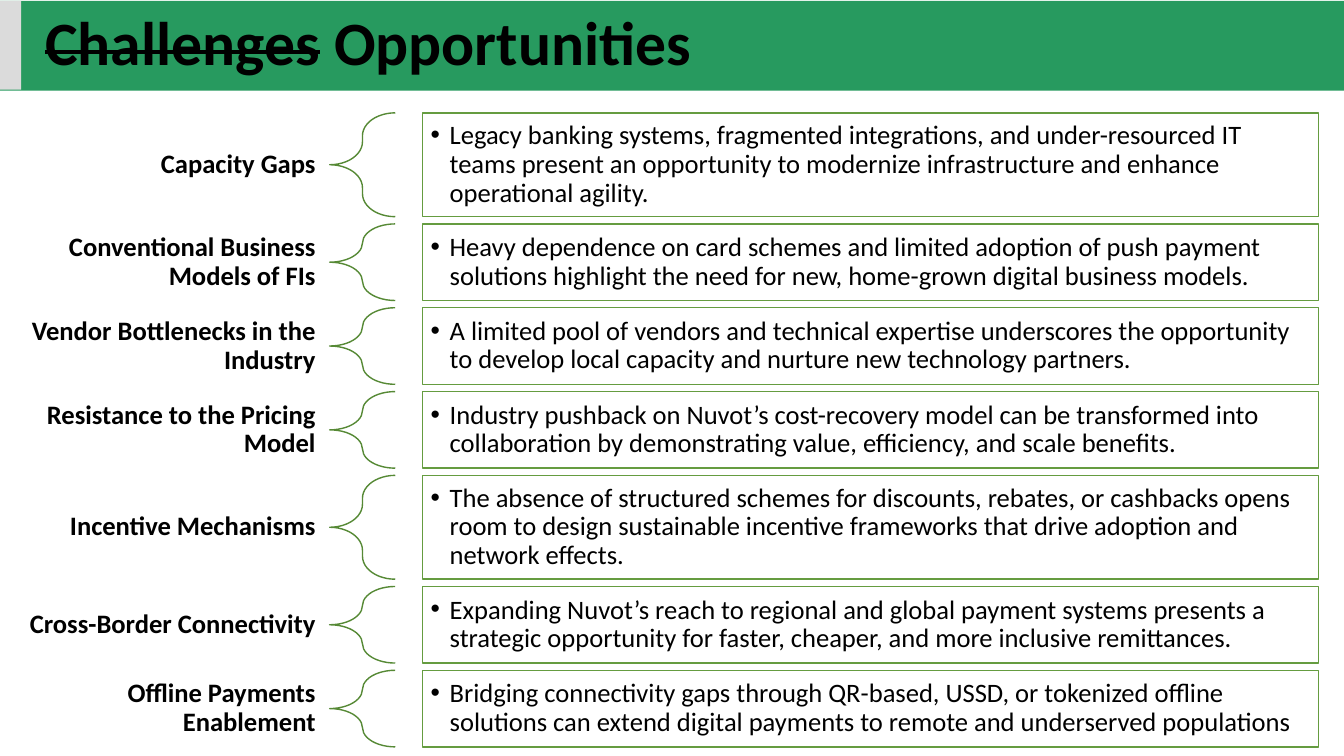
from dataclasses import dataclass

from lxml.etree import SubElement
from pptx import Presentation
from pptx.dml.color import RGBColor
from pptx.enum.shapes import MSO_SHAPE as Shape
from pptx.enum.text import MSO_ANCHOR as Anchor, PP_ALIGN as Align
from pptx.oxml.ns import qn
from pptx.util import Inches, Pt

# Content: label, label lines, opportunity, opportunity lines
TITLE = [("Challenges", True), (" Opportunities", False)]  # text, struck out
ROWS = [
    ("Capacity Gaps", 1,
     "Legacy banking systems, fragmented integrations, and under-resourced IT teams present "
     "an opportunity to modernize infrastructure and enhance operational agility.", 3),
    ("Conventional Business Models of FIs", 2,
     "Heavy dependence on card schemes and limited adoption of push payment solutions "
     "highlight the need for new, home-grown digital business models.", 2),
    ("Vendor Bottlenecks in the Industry", 2,
     "A limited pool of vendors and technical expertise underscores the opportunity to "
     "develop local capacity and nurture new technology partners.", 2),
    ("Resistance to the Pricing Model", 2,
     "Industry pushback on Nuvot’s cost-recovery model can be transformed into "
     "collaboration by demonstrating value, efficiency, and scale benefits.", 2),
    ("Incentive Mechanisms", 1,
     "The absence of structured schemes for discounts, rebates, or cashbacks opens room to "
     "design sustainable incentive frameworks that drive adoption and network effects.", 3),
    ("Cross-Border Connectivity", 1,
     "Expanding Nuvot’s reach to regional and global payment systems presents a strategic "
     "opportunity for faster, cheaper, and more inclusive remittances.", 2),
    ("Offline Payments Enablement", 2,
     "Bridging connectivity gaps through QR-based, USSD, or tokenized offline solutions can "
     "extend digital payments to remote and underserved populations", 2),
]


@dataclass(frozen=True)
class Theme:
    font: str = "Calibri"
    title_size: int = 44
    body_size: int = 19
    ink: str = "000000"
    paper: str = "FFFFFF"
    banner: str = "279A5F"
    tab: str = "DBDBDB"
    brace: str = "568935"
    border: str = "659C40"


theme = Theme()

# Layout in inches
WIDTH, HEIGHT = 13.33, 7.5
LABEL_COL, BRACE_COL, DETAIL_COL = (0.01, 3.27), (3.27, 0.65), (4.19, 8.89)  # left, width
ROWS_TOP, ROWS_BOTTOM = 1.12, 7.41
BULLET_INDENT = 0.19


def label_height(lines):
    return 0.13 + 0.28 * lines


def detail_height(lines):
    return 0.22 + 0.27 * lines


deck = Presentation()
deck.slide_width, deck.slide_height = Inches(WIDTH), Inches(HEIGHT)
slide = deck.slides.add_slide(deck.slide_layouts[6])


def add_shape(kind, left, top, width, height, fill=None, line=None):
    shape = slide.shapes.add_shape(kind, *map(Inches, (left, top, width, height)))
    shape.shadow.inherit = False
    if fill:
        shape.fill.solid()
        shape.fill.fore_color.rgb = RGBColor.from_string(fill)
    else:
        shape.fill.background()
    if line:
        shape.line.color.rgb = RGBColor.from_string(line)
        shape.line.width = Pt(1)
    else:
        shape.line.fill.background()
    return shape


def add_text(holder, runs, size=theme.body_size, bold=False, align=Align.LEFT,
             anchor=Anchor.MIDDLE, insets=(0.08, 0.08, 0.08, 0.08), spacing=0.9, bullet=False):
    frame = holder.text_frame
    frame.word_wrap = True
    frame.vertical_anchor = anchor
    (frame.margin_left, frame.margin_top,
     frame.margin_right, frame.margin_bottom) = map(Inches, insets)
    paragraph = frame.paragraphs[0]
    paragraph.alignment = align
    paragraph.line_spacing = spacing
    if bullet:
        props = paragraph._p.get_or_add_pPr()
        props.set("marL", str(Inches(BULLET_INDENT)))
        props.set("indent", str(-Inches(BULLET_INDENT)))
        SubElement(props, qn("a:buFont"), typeface="Arial")
        SubElement(props, qn("a:buChar"), char="•")
    for words, struck in runs:
        run = paragraph.add_run()
        run.text = words
        run.font.name, run.font.size, run.font.bold = theme.font, Pt(size), bold
        run.font.color.rgb = RGBColor.from_string(theme.ink)
        if struck:
            run.font._element.set("strike", "sngStrike")


def add_box(left, top, width, height):
    return slide.shapes.add_textbox(*map(Inches, (left, top, width, height)))


# Rows: label, brace, bordered opportunity
heights = [detail_height(lines) for *_, lines in ROWS]
gap = (ROWS_BOTTOM - ROWS_TOP - sum(heights)) / (len(ROWS) - 1)
top = ROWS_TOP
for (label, label_lines, detail, _), height in zip(ROWS, heights):
    tall = label_height(label_lines)
    label_box = add_box(LABEL_COL[0], top + (height - tall) / 2, LABEL_COL[1], tall)
    add_text(label_box, [(label, False)], bold=True, align=Align.RIGHT,
             insets=(0.15, 0.05, 0.15, 0.05))
    brace = add_shape(Shape.LEFT_BRACE, BRACE_COL[0], top, BRACE_COL[1], height,
                      line=theme.brace)
    brace.adjustments[0] = 0.35
    detail_box = add_shape(Shape.RECTANGLE, DETAIL_COL[0], top, DETAIL_COL[1], height,
                           fill=theme.paper, line=theme.border)
    add_text(detail_box, [(detail, False)], bullet=True)
    top += height + gap

# Title banner
add_shape(Shape.RECTANGLE, 0, 0.01, WIDTH, 0.89, fill=theme.banner)
add_shape(Shape.RECTANGLE, 0, 0.01, 0.21, 0.88, fill=theme.tab)
add_text(add_box(0.21, -0.01, 12.47, 0.84), TITLE, size=theme.title_size, bold=True,
         anchor=Anchor.TOP, insets=(0.24, 0.05, 0.1, 0.05), spacing=1.0)

deck.save("out.pptx")
